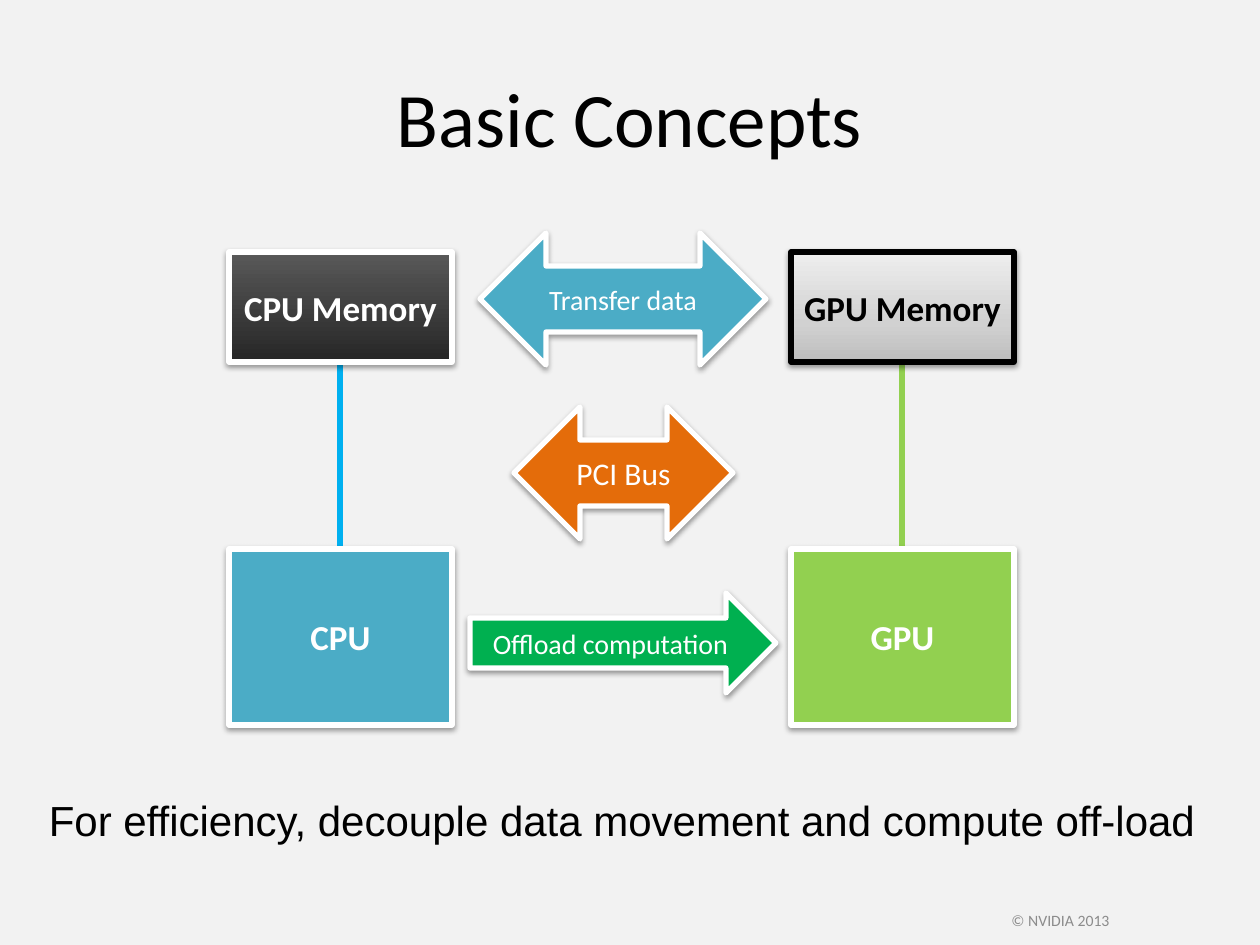
from lxml.etree import SubElement
from pptx import Presentation
from pptx.dml.color import RGBColor
from pptx.enum.shapes import MSO_CONNECTOR, MSO_SHAPE as Shape
from pptx.enum.text import MSO_ANCHOR as Anchor, PP_ALIGN as Align
from pptx.oxml import parse_xml
from pptx.oxml.ns import nsdecls, qn
from pptx.util import Emu, Pt

PX = 914400 // 126
WHITE = RGBColor(0xFF, 0xFF, 0xFF)
BLACK = RGBColor(0x00, 0x00, 0x00)
BACKGROUND = RGBColor(0xF2, 0xF2, 0xF2)
FOOTER_GRAY = RGBColor(0x8C, 0x8C, 0x8C)
TEAL = RGBColor(0x4B, 0xAC, 0xC6)
LIME = RGBColor(0x92, 0xD0, 0x50)
SKY = RGBColor(0x00, 0xB0, 0xF0)
ORANGE = RGBColor(0xE4, 0x6C, 0x0A)
GREEN = RGBColor(0x00, 0xB0, 0x50)
DARK_STOPS = [(0, RGBColor(0x59, 0x59, 0x59)), (100, RGBColor(0x26, 0x26, 0x26))]
LIGHT_STOPS = [
    (0, RGBColor(0xEE, 0xEE, 0xEE)),
    (65, RGBColor(0xD1, 0xD1, 0xD1)),
    (100, RGBColor(0xBD, 0xBD, 0xBD)),
]

TITLE = "Basic Concepts"
CAPTION = "For efficiency, decouple data movement and compute off-load"
COPYRIGHT = "© NVIDIA 2013"

BOX_WIDTH = 223
MEMORY_TOP, MEMORY_HEIGHT = 252, 110
PROCESSOR_TOP, PROCESSOR_HEIGHT = 549, 176
ARROW_CENTER = 623
COLUMNS = [
    dict(name="CPU", left=229, fill=TEAL, link=SKY, stops=DARK_STOPS, ink=WHITE),
    dict(name="GPU", left=791, fill=LIME, link=LIME, stops=LIGHT_STOPS, ink=BLACK),
]
ARROWS = [
    ("PCI Bus", Shape.LEFT_RIGHT_ARROW, 407, 219, 132, ORANGE, 18),
    ("Transfer data", Shape.LEFT_RIGHT_ARROW, 233, 286, 132, TEAL, 16),
    ("Offload computation", Shape.RIGHT_ARROW, 593, 306, 100, GREEN, 16),
]


def px(*lengths):
    return [Emu(length * PX) for length in lengths]


def write(shape, text, size, color=WHITE, font="Calibri", bold=False,
          anchor=Anchor.MIDDLE, wrap=True):
    frame = shape.text_frame
    frame.word_wrap = wrap
    frame.vertical_anchor = anchor
    paragraph = frame.paragraphs[0]
    paragraph.alignment = Align.CENTER
    run = paragraph.add_run()
    run.text = text
    run.font.size = Pt(size)
    run.font.name = font
    run.font.bold = bold
    run.font.color.rgb = color


def fill_gradient(shape, stops):
    shape.fill.gradient()
    shape.fill.gradient_angle = 270
    stop_list = shape._element.spPr.find(qn("a:gradFill")).find(qn("a:gsLst"))
    for stop in list(stop_list):
        stop_list.remove(stop)
    for percent, color in stops:
        stop = SubElement(stop_list, qn("a:gs"), pos=str(percent * 1000))
        SubElement(stop, qn("a:srgbClr"), val=str(color))


def add_shadow(shape):
    shape.shadow.inherit = False
    properties = shape._element.spPr
    properties.remove(properties.find(qn("a:effectLst")))
    properties.append(parse_xml(
        f'<a:effectLst {nsdecls("a")}>'
        '<a:outerShdw blurRad="40000" dist="20000" dir="5400000" rotWithShape="0">'
        '<a:srgbClr val="000000"><a:alpha val="38000"/></a:srgbClr>'
        '</a:outerShdw></a:effectLst>'))


def add_block(slide, preset, bounds, text, fill=None, stops=None, outline=WHITE, **style):
    shape = slide.shapes.add_shape(preset, *px(*bounds))
    if stops:
        fill_gradient(shape, stops)
    else:
        shape.fill.solid()
        shape.fill.fore_color.rgb = fill
    shape.line.color.rgb = outline
    shape.line.width = Pt(3)
    add_shadow(shape)
    write(shape, text, wrap=False, **style)


def add_link(slide, column):
    center = column["left"] + BOX_WIDTH // 2
    link = slide.shapes.add_connector(
        MSO_CONNECTOR.STRAIGHT,
        *px(center, MEMORY_TOP + MEMORY_HEIGHT, center, PROCESSOR_TOP))
    link.line.color.rgb = column["link"]
    link.line.width = Pt(3)
    SubElement(link._element.spPr, qn("a:effectLst"))


def main():
    presentation = Presentation()
    presentation.slide_width, presentation.slide_height = px(1260, 945)
    slide = presentation.slides.add_slide(presentation.slide_layouts[5])
    slide.background.fill.solid()
    slide.background.fill.fore_color.rgb = BACKGROUND

    title = slide.shapes.title
    title.left, title.top, title.width, title.height = px(63, 38, 1134, 158)
    write(title, TITLE, 44, BLACK)

    for column in COLUMNS:
        add_link(slide, column)

    for text, preset, top, width, height, fill, size in ARROWS:
        bounds = (ARROW_CENTER - width // 2, top, width, height)
        add_block(slide, preset, bounds, text, fill, size=size)

    caption = slide.shapes.add_textbox(*px(21, 788, 1202, 63))
    write(caption, CAPTION, 24, BLACK, font="Arial", anchor=Anchor.TOP)

    for column in COLUMNS:
        name, left, ink = column["name"], column["left"], column["ink"]
        add_block(slide, Shape.RECTANGLE,
                  (left, PROCESSOR_TOP, BOX_WIDTH, PROCESSOR_HEIGHT),
                  name, column["fill"], size=20, bold=True)
        add_block(slide, Shape.RECTANGLE,
                  (left, MEMORY_TOP, BOX_WIDTH, MEMORY_HEIGHT),
                  f"{name} Memory", stops=column["stops"], outline=ink,
                  size=20, bold=True, color=ink)

    footer = slide.shapes.add_textbox(*px(861, 895, 399, 50))
    write(footer, COPYRIGHT, 9, FOOTER_GRAY)

    presentation.save("out.pptx")


if __name__ == "__main__":
    main()
